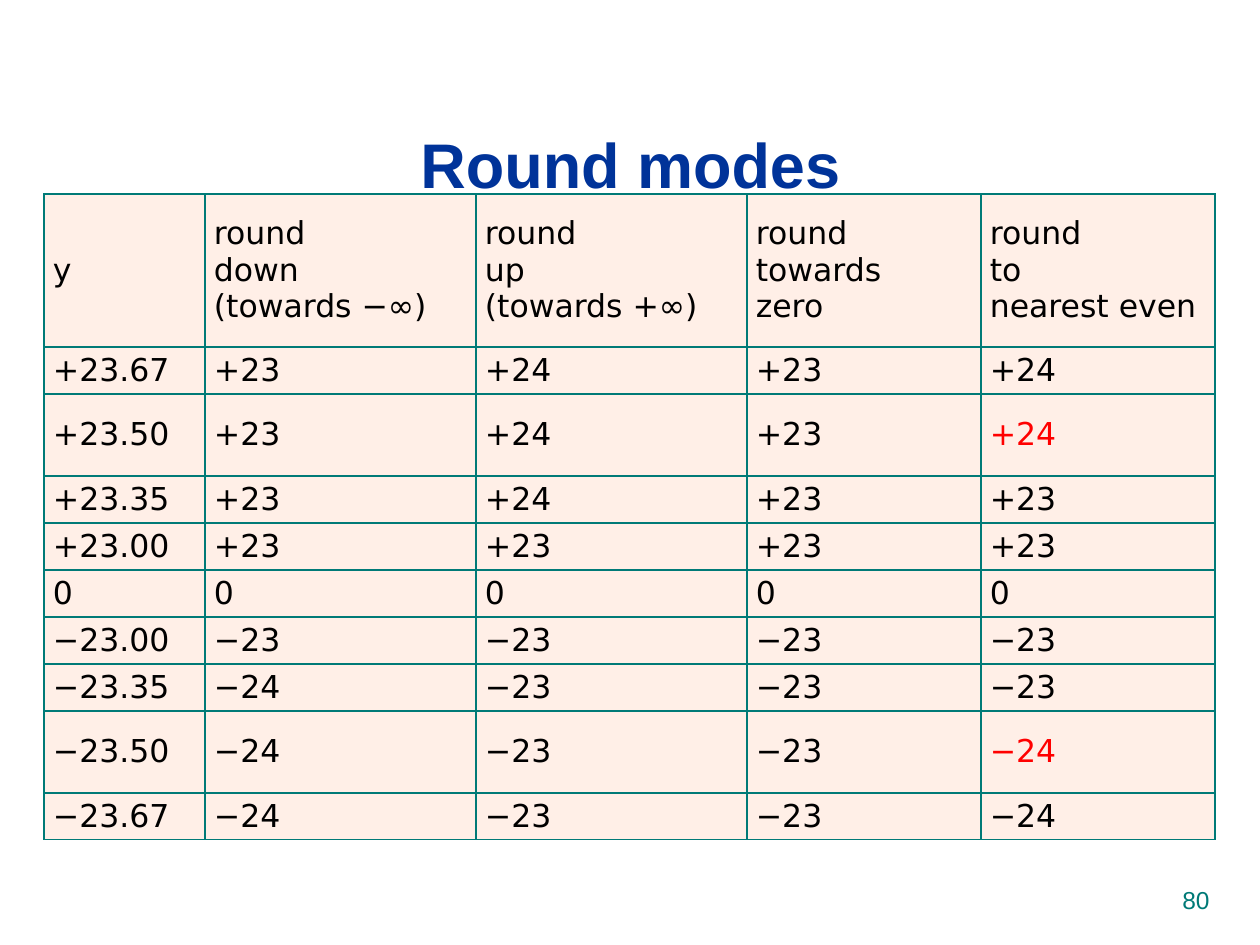
"""Build the slide that tabulates the floating-point round modes."""
import pptx
import pptx.dml.color
import pptx.enum.text
import pptx.oxml
import pptx.oxml.ns
import pptx.util

PX = 914400 // 126
NAVY = pptx.dml.color.RGBColor(0x00, 0x33, 0x99)
TEAL = pptx.dml.color.RGBColor(0x00, 0x7A, 0x77)
PEACH = pptx.dml.color.RGBColor(0xFF, 0xEF, 0xE7)
BLACK = pptx.dml.color.RGBColor(0x00, 0x00, 0x00)
RED = pptx.dml.color.RGBColor(0xFF, 0x00, 0x00)
ALIGN = pptx.enum.text.PP_ALIGN
ANCHOR = pptx.enum.text.MSO_ANCHOR

HEADINGS = [
    "y",
    "round\ndown\n(towards −∞)",
    "round\nup\n(towards +∞)",
    "round\ntowards\nzero",
    "round\nto\nnearest even",
]
ROUNDINGS = [
    ["+23.67", "+23", "+24", "+23", "+24"],
    ["+23.50", "+23", "+24", "+23", "+24"],
    ["+23.35", "+23", "+24", "+23", "+23"],
    ["+23.00", "+23", "+23", "+23", "+23"],
    ["0", "0", "0", "0", "0"],
    ["−23.00", "−23", "−23", "−23", "−23"],
    ["−23.35", "−24", "−23", "−23", "−23"],
    ["−23.50", "−24", "−23", "−23", "−24"],
    ["−23.67", "−24", "−23", "−23", "−24"],
]
TIES = ("+23.50", "−23.50")
COLUMN_WIDTHS = [161, 271, 271, 234, 234]
HEADING_HEIGHT, TIE_HEIGHT, ROW_HEIGHT = 153, 82, 47


def add_text(paragraph, text, font_name, size, color, bold=False):
    for index, line in enumerate(text.split("\n")):
        if index:
            paragraph.add_line_break()
        run = paragraph.add_run()
        run.text = line
        run.font.name = font_name
        run.font.size = pptx.util.Pt(size)
        run.font.color.rgb = color
        run.font.bold = bold


def add_label(slide, box, text, size, color, align, anchor, bold=False):
    label = slide.shapes.add_textbox(*[length * PX for length in box])
    label.text_frame.word_wrap = True
    label.text_frame.vertical_anchor = anchor
    paragraph = label.text_frame.paragraphs[0]
    paragraph.alignment = align
    add_text(paragraph, text, "Arial", size, color, bold)


deck = pptx.Presentation()
deck.slide_width = pptx.util.Inches(10)
deck.slide_height = pptx.util.Inches(7.5)
slide = deck.slides.add_slide(deck.slide_layouts[6])

add_label(slide, (42, 84, 1177, 158), "Round modes", 36, NAVY,
          ALIGN.CENTER, ANCHOR.MIDDLE, bold=True)

rows = [HEADINGS] + ROUNDINGS
row_heights = [HEADING_HEIGHT] + [
    TIE_HEIGHT if row[0] in TIES else ROW_HEIGHT for row in ROUNDINGS
]
modes = slide.shapes.add_table(
    len(rows), len(HEADINGS), 44 * PX, 194 * PX,
    sum(COLUMN_WIDTHS) * PX, sum(row_heights) * PX,
).table
modes.first_row = False
modes.horz_banding = False
for column, width in zip(modes.columns, COLUMN_WIDTHS):
    column.width = width * PX
for row, height in zip(modes.rows, row_heights):
    row.height = height * PX

for row_index, values in enumerate(rows):
    for column_index, value in enumerate(values):
        cell = modes.cell(row_index, column_index)
        cell.vertical_anchor = ANCHOR.MIDDLE
        cell.margin_left = cell.margin_right = 9 * PX
        cell.margin_top = cell.margin_bottom = 4 * PX
        properties = cell._tc.get_or_add_tcPr()
        for side in ("lnL", "lnR", "lnT", "lnB"):
            properties.append(pptx.oxml.parse_xml(
                f'<a:{side} {pptx.oxml.ns.nsdecls("a")} w="12700"><a:solidFill>'
                f'<a:srgbClr val="{TEAL}"/></a:solidFill></a:{side}>'
            ))
        cell.fill.solid()
        cell.fill.fore_color.rgb = PEACH
        is_tie = values[0] in TIES and column_index == len(HEADINGS) - 1
        add_text(cell.text_frame.paragraphs[0], value, "DejaVu Sans", 18,
                 RED if is_tie else BLACK)

add_label(slide, (907, 879, 315, 66), "80", 14, TEAL, ALIGN.RIGHT, ANCHOR.TOP)

deck.save("out.pptx")
